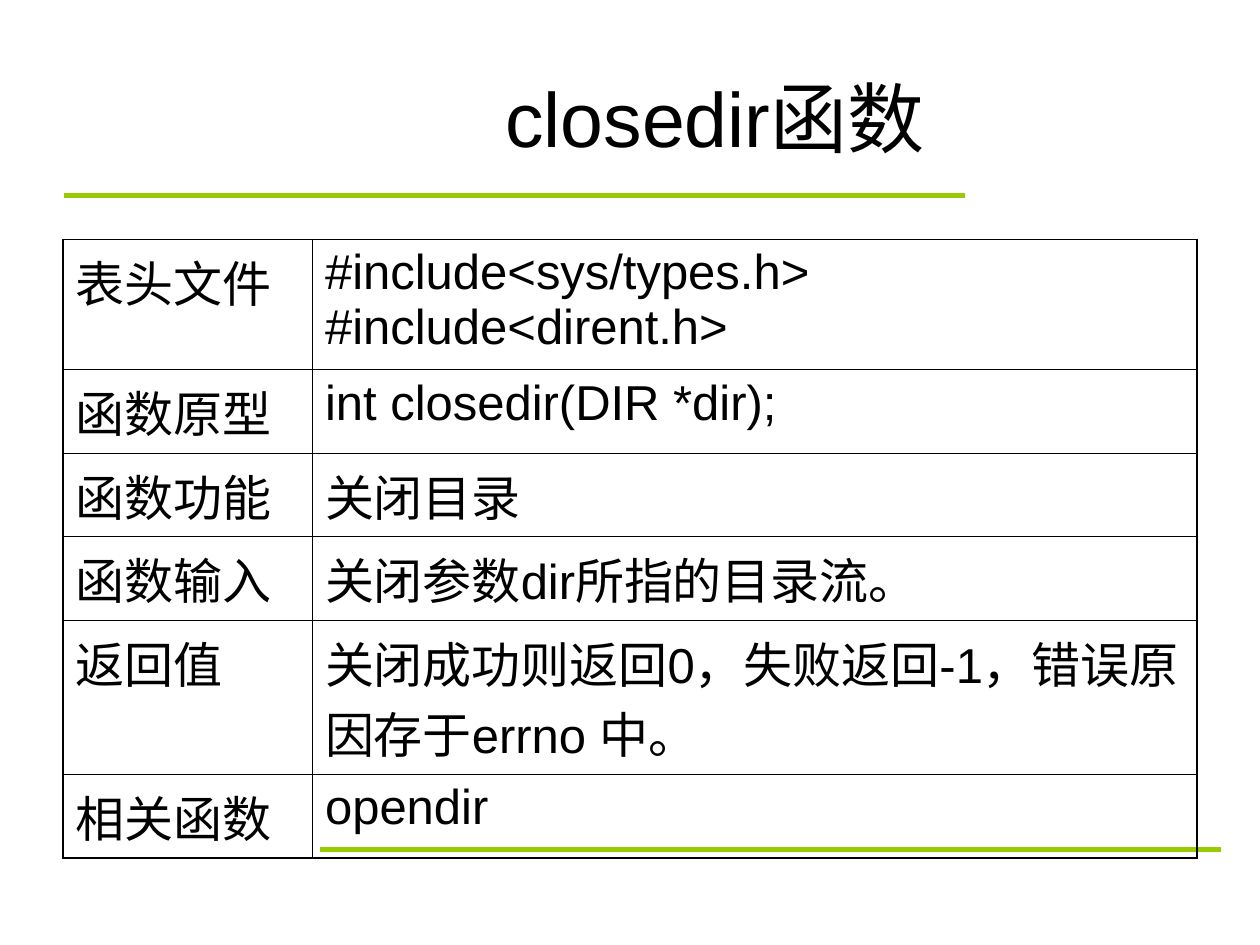
from dataclasses import dataclass

from lxml import etree
from pptx import Presentation
from pptx.dml.color import RGBColor
from pptx.enum.shapes import MSO_CONNECTOR
from pptx.enum.text import MSO_ANCHOR, PP_ALIGN
from pptx.oxml.ns import qn
from pptx.util import Pt

STRAIGHT = MSO_CONNECTOR.STRAIGHT
MIDDLE = MSO_ANCHOR.MIDDLE
CENTER = PP_ALIGN.CENTER

FONT = "Arial"
BLACK, WHITE, GREEN = "000000", "FFFFFF", "99CC00"
THIN, THICK = 0.45, 1.08
MARGIN_X, MARGIN_Y = 7.2, 3.6
RULE_LENGTH = 514.8


@dataclass
class Entry:
    label: str
    detail: str
    height: float = 47.7


ENTRIES = [
    Entry("表头文件", "#include<sys/types.h>\v#include<dirent.h>", 69.84),
    Entry("函数原型", "int closedir(DIR *dir);"),
    Entry("函数功能", "关闭目录"),
    Entry("函数输入", "关闭参数dir所指的目录流。"),
    Entry("返回值", "关闭成功则返回0，失败返回-1，错误原因存于errno 中。", 88.2),
    Entry("相关函数", "opendir"),
]
COLUMN_WIDTHS = (142.56, 505.44)


def colour(value: str) -> RGBColor:
    return RGBColor.from_string(value)


def write(paragraph, text: str, size: float) -> None:
    paragraph.text = text
    for span in paragraph.runs:
        span.font.name = FONT
        span.font.size = Pt(size)
        span.font.color.rgb = colour(BLACK)


def add_rule(page, left: float, top: float) -> None:
    rule = page.shapes.add_connector(
        STRAIGHT, Pt(left), Pt(top), Pt(left + RULE_LENGTH), Pt(top))
    rule.line.color.rgb = colour(GREEN)
    rule.line.width = Pt(3)
    etree.SubElement(rule._element.spPr, qn("a:effectLst"))


def add_title(page, text: str) -> None:
    box = page.shapes.add_textbox(Pt(133.2), Pt(21.6), Pt(550.8), Pt(90))
    frame = box.text_frame
    frame.word_wrap = True
    frame.vertical_anchor = MIDDLE
    paragraph = frame.paragraphs[0]
    write(paragraph, text, 44)
    paragraph.alignment = CENTER


def set_borders(cell, widths: dict[str, float]) -> None:
    properties = cell._tc.get_or_add_tcPr()
    # Borders precede the fill in the cell properties
    for position, (side, width) in enumerate(widths.items()):
        border = etree.Element(qn(f"a:ln{side}"), w=str(int(Pt(width))))
        fill = etree.SubElement(border, qn("a:solidFill"))
        etree.SubElement(fill, qn("a:srgbClr"), val=BLACK)
        properties.insert(position, border)


def fill_cell(cell, text: str, is_label: bool) -> None:
    cell.margin_left = cell.margin_right = Pt(MARGIN_X)
    cell.margin_top = cell.margin_bottom = Pt(MARGIN_Y)
    if is_label:
        cell.fill.solid()
        cell.fill.fore_color.rgb = colour(WHITE)
    else:
        cell.fill.background()
    paragraph = cell.text_frame.paragraphs[0]
    write(paragraph, text, 28)
    paragraph.space_before = Pt(7)


def add_reference_table(page, entries: list[Entry]) -> None:
    total_height = sum(entry.height for entry in entries)
    table = page.shapes.add_table(
        len(entries), len(COLUMN_WIDTHS), Pt(36), Pt(136.8),
        Pt(sum(COLUMN_WIDTHS)), Pt(total_height)).table
    table.first_row = table.horz_banding = False
    for column, width in zip(table.columns, COLUMN_WIDTHS):
        column.width = Pt(width)
    last_row, last_column = len(entries) - 1, len(COLUMN_WIDTHS) - 1
    for row, entry in enumerate(entries):
        table.rows[row].height = Pt(entry.height)
        for column, text in enumerate((entry.label, entry.detail)):
            cell = table.cell(row, column)
            fill_cell(cell, text, is_label=column == 0)
            # Outer edges are heavier than inner ones
            set_borders(cell, {
                "L": THICK if column == 0 else THIN,
                "R": THICK if column == last_column else THIN,
                "T": THICK if row == 0 else THIN,
                "B": THICK if row == last_row else THIN,
            })


def main() -> None:
    deck = Presentation()
    deck.slide_width, deck.slide_height = Pt(720), Pt(540)
    page = deck.slides.add_slide(deck.slide_layouts[6])

    # Decorative rules
    add_rule(page, 36.72, 111.6)
    add_rule(page, 182.88, 485.28)

    # Heading and function reference
    add_title(page, "closedir函数")
    add_reference_table(page, ENTRIES)

    deck.save("out.pptx")


if __name__ == "__main__":
    main()
